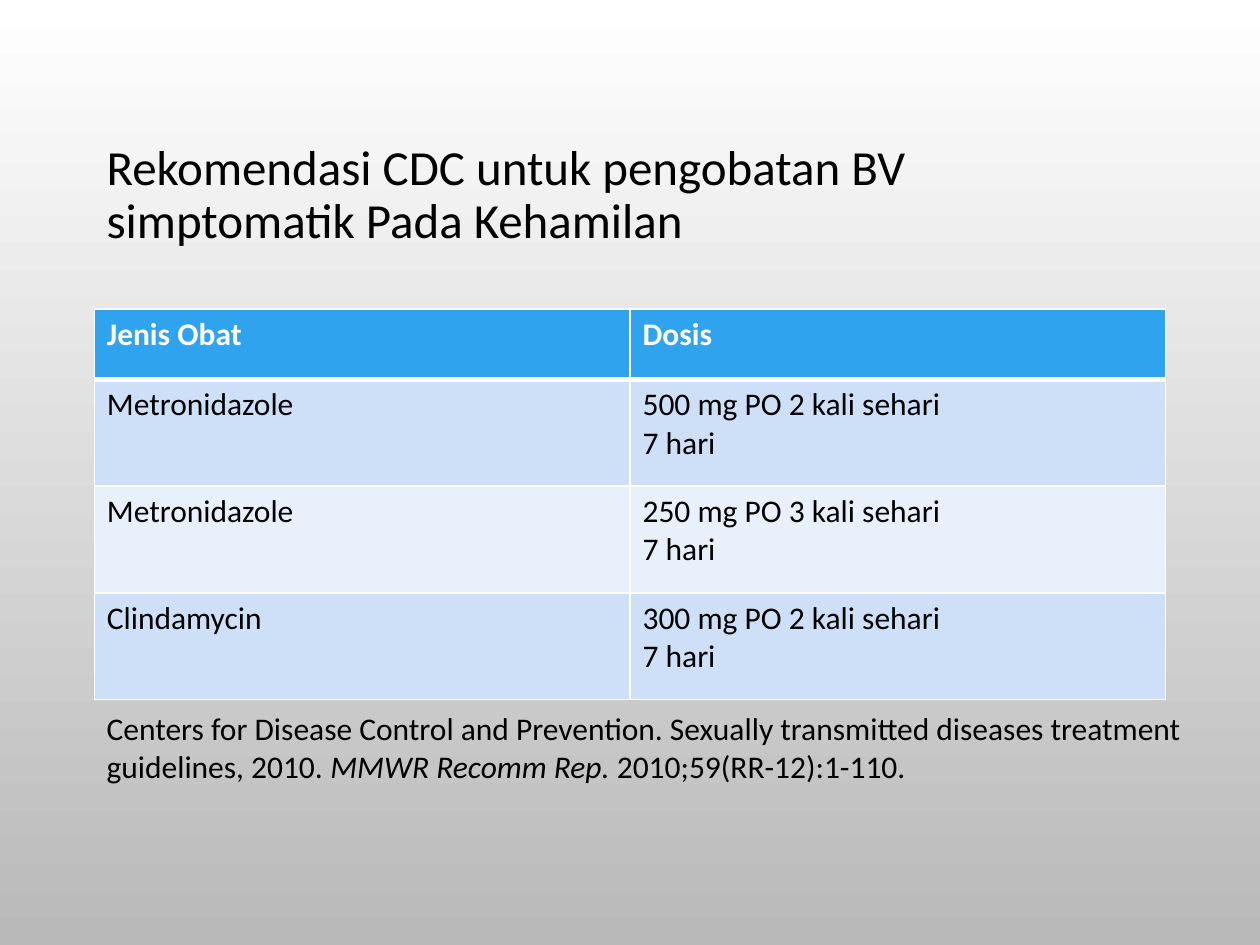
import dataclasses

import lxml.etree
import pptx
import pptx.dml.color
import pptx.enum.text
import pptx.oxml.ns
import pptx.util

Cm = pptx.util.Cm
Pt = pptx.util.Pt


@dataclasses.dataclass(frozen=True)
class Theme:
    font: str = "Calibri"
    title_size: int = 28
    body_size: int = 18
    text: str = "000000"
    white: str = "FFFFFF"
    background_end: str = "B9B9B9"
    header: str = "2FA3EE"
    bands: tuple = ("CDE0F8", "E8F0FC")


theme = Theme()
rgb = pptx.dml.color.RGBColor.from_string


def format_text(text_frame, size, color, bold=False):
    for paragraph in text_frame.paragraphs:
        for run in paragraph.runs:
            run.font.name = theme.font
            run.font.size = Pt(size)
            run.font.bold = bold
            run.font.color.rgb = rgb(color)


def set_borders(cell, bottom_width):
    """Draw white cell borders, 1 pt except for the bottom one."""
    properties = cell._tc.get_or_add_tcPr()
    widths = {"lnL": 1, "lnR": 1, "lnT": 1, "lnB": bottom_width}
    for position, (tag, width) in enumerate(widths.items()):
        line = lxml.etree.Element(pptx.oxml.ns.qn(f"a:{tag}"), w=str(Pt(width)))
        fill = lxml.etree.SubElement(line, pptx.oxml.ns.qn("a:solidFill"))
        lxml.etree.SubElement(fill, pptx.oxml.ns.qn("a:srgbClr"), val=theme.white)
        properties.insert(position, line)


presentation = pptx.Presentation()
presentation.slide_width = Cm(25.4)
presentation.slide_height = Cm(19.05)
slide = presentation.slides.add_slide(presentation.slide_layouts[6])

# Background: white at the top, grey at the bottom
background = slide.background.fill
background.gradient()
background.gradient_angle = 270
for stop, color in zip(background.gradient_stops, (theme.white, theme.background_end)):
    stop.color.rgb = rgb(color)

left = Cm(1.9)
content_width = Cm(21.6)

# Title
title = slide.shapes.add_textbox(left, Cm(1.73), content_width, Cm(4.45)).text_frame
title.word_wrap = True
title.vertical_anchor = pptx.enum.text.MSO_ANCHOR.MIDDLE
title.text = "Rekomendasi CDC untuk pengobatan BV simptomatik Pada Kehamilan"
title.paragraphs[0].line_spacing = 0.9
format_text(title, theme.title_size, theme.text)

# Dosage table
dosages = [
    ("Jenis Obat", "Dosis"),
    ("Metronidazole", "500 mg PO 2 kali sehari\n7 hari"),
    ("Metronidazole", "250 mg PO 3 kali sehari\n7 hari"),
    ("Clindamycin", "300 mg PO 2 kali sehari\n7 hari"),
]
header_height = Cm(1.42)
row_height = Cm(2.15)
table_height = header_height + row_height * (len(dosages) - 1)
table = slide.shapes.add_table(
    len(dosages), 2, left, Cm(6.23), content_width, table_height
).table

for row_index, values in enumerate(dosages):
    is_header = row_index == 0
    table.rows[row_index].height = header_height if is_header else row_height
    fill_color = theme.header if is_header else theme.bands[(row_index - 1) % 2]
    for column_index, value in enumerate(values):
        cell = table.cell(row_index, column_index)
        cell.text_frame.text = value
        format_text(cell.text_frame, theme.body_size,
                    theme.white if is_header else theme.text, bold=is_header)
        cell.fill.solid()
        cell.fill.fore_color.rgb = rgb(fill_color)
        set_borders(cell, bottom_width=3 if is_header else 1)
# The first body row shares its top edge with the thick header border
for cell in table.rows[1].cells:
    cell._tc.tcPr.find(pptx.oxml.ns.qn("a:lnT")).set("w", str(Pt(3)))

# Source reference
reference = slide.shapes.add_textbox(left, Cm(14.17), Cm(22.6), Cm(1.8)).text_frame
reference.word_wrap = True
reference.auto_size = pptx.enum.text.MSO_AUTO_SIZE.SHAPE_TO_FIT_TEXT
reference_parts = [
    ("Centers for Disease Control and Prevention. Sexually transmitted diseases "
     "treatment guidelines, 2010. ", False),
    ("MMWR Recomm Rep. ", True),
    ("2010;59(RR-12):1-110.", False),
]
for text, italic in reference_parts:
    run = reference.paragraphs[0].add_run()
    run.text = text
    run.font.italic = italic
format_text(reference, theme.body_size, theme.text)

presentation.save("out.pptx")
